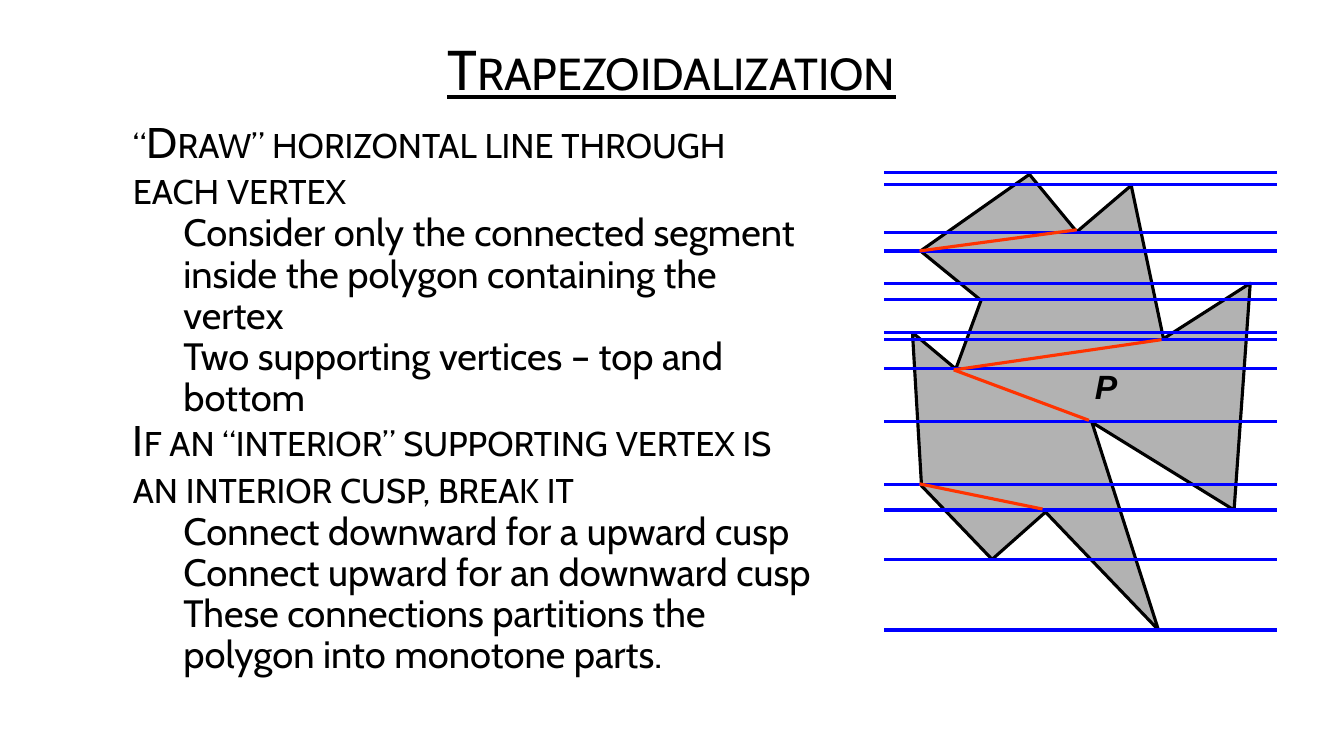
from dataclasses import dataclass

import lxml.etree
import pptx
import pptx.dml.color
import pptx.enum.shapes
import pptx.enum.text
import pptx.oxml.ns
import pptx.util

Inches = pptx.util.Inches
Pt = pptx.util.Pt
RGB = pptx.dml.color.RGBColor.from_string
Align = pptx.enum.text.PP_ALIGN
Anchor = pptx.enum.text.MSO_ANCHOR
qn = pptx.oxml.ns.qn


@dataclass(frozen=True)
class Theme:
    text: str = "000000"
    polygon: str = "B2B2B2"
    sweep: str = "0000FF"
    diagonal: str = "FF3300"
    font: str = "Cabin"
    label_font: str = "Arial"
    title_size: float = 40
    point_size: float = 30.6
    detail_size: float = 27.2
    label_size: float = 24
    line_width: float = 2.25


theme = Theme()


def add_text(p, text, size, font=theme.font, align=Align.LEFT, spacing=0.9, before=0,
             margin=0, small_caps=False, bold=False, italic=False, underline=False):
    p.alignment = align
    p.line_spacing = spacing
    p.space_before = Pt(before)
    p._p.get_or_add_pPr().set("marL", str(Inches(margin)))
    r = p.add_run()
    r.text = text
    r.font.size = Pt(size)
    r.font.name = font
    r.font.color.rgb = RGB(theme.text)
    r.font.bold, r.font.italic, r.font.underline = bold, italic, underline
    if small_caps:
        r._r.get_or_add_rPr().set("cap", "small")


def add_line(x1, y1, x2, y2, color):
    line = slide.shapes.add_connector(pptx.enum.shapes.MSO_CONNECTOR.STRAIGHT,
                                      Inches(x1), Inches(y1), Inches(x2), Inches(y2))
    line.line.color.rgb = RGB(color)
    line.line.width = Pt(theme.line_width)
    lxml.etree.SubElement(line._element.find(qn("p:spPr")), qn("a:effectLst"))


prs = pptx.Presentation()
prs.slide_width, prs.slide_height = Inches(13.33), Inches(7.5)
slide = prs.slides.add_slide(prs.slide_layouts[6])

# Body: main points in small caps, details indented below them
points = [
    (0, "“Draw” horizontal line through each vertex"),
    (1, "Consider only the connected segment inside the polygon containing the vertex"),
    (1, "Two supporting vertices – top and bottom"),
    (0, "If an “interior” supporting vertex is an interior cusp, break it"),
    (1, "Connect downward for a upward cusp"),
    (1, "Connect upward for an downward cusp"),
    (1, "These connections partitions the polygon into monotone parts."),
]
tf = slide.shapes.add_textbox(Inches(0.72), Inches(1.32), Inches(7.45), Inches(5.28)).text_frame
tf.word_wrap = True
tf.vertical_anchor = Anchor.MIDDLE
for i, (level, text) in enumerate(points):
    p = tf.add_paragraph() if i else tf.paragraphs[0]
    p.level = level
    add_text(p, text, theme.detail_size if level else theme.point_size,
             margin=0.5 * (level + 1), small_caps=level == 0)

# Title
tf = slide.shapes.add_textbox(Inches(1.74), Inches(0.29), Inches(9.84), Inches(0.85)).text_frame
tf.word_wrap = True
tf.vertical_anchor = Anchor.MIDDLE
add_text(tf.paragraphs[0], "Trapezoidalization", theme.title_size, align=Align.CENTER,
         before=10, small_caps=True, underline=True)

# Polygon P
vertices = [
    (11.49, 6.25), (10.37, 5.08), (9.84, 5.55), (9.14, 4.82), (9.05, 3.3),
    (9.48, 3.66), (9.73, 2.98), (9.13, 2.49), (10.21, 1.73), (10.68, 2.3),
    (11.22, 1.84), (11.54, 3.36), (12.4, 2.81), (12.24, 5.06), (10.83, 4.19),
]
corners = [(Inches(x), Inches(y)) for x, y in vertices]
outline = slide.shapes.build_freeform(*corners[0])
outline.add_line_segments(corners[1:], close=True)
sp = outline.convert_to_shape()
sp.shadow.inherit = False
sp.fill.solid()
sp.fill.fore_color.rgb = RGB(theme.polygon)
sp.line.color.rgb = RGB(theme.text)
sp.line.width = Pt(theme.line_width)

tf = slide.shapes.add_textbox(Inches(10.76), Inches(3.58), Inches(0.67), Inches(0.5)).text_frame
tf.word_wrap = True
add_text(tf.paragraphs[0], "P", theme.label_size, font=theme.label_font, spacing=1.0,
         bold=True, italic=True)

# Horizontal line through each vertex
for y in (1.71, 1.83, 2.31, 2.49, 2.81, 2.97, 3.3, 3.37, 3.66, 4.18, 4.81, 5.06, 5.55, 6.25):
    add_line(8.77, y, 12.67, y, theme.sweep)

# Diagonals that break the interior cusps
for diagonal in ((10.68, 2.28, 9.12, 2.49), (11.52, 3.37, 9.46, 3.67),
                 (10.8, 4.17, 9.46, 3.67), (10.34, 5.05, 9.12, 4.8)):
    add_line(*diagonal, theme.diagonal)

prs.save("out.pptx")
